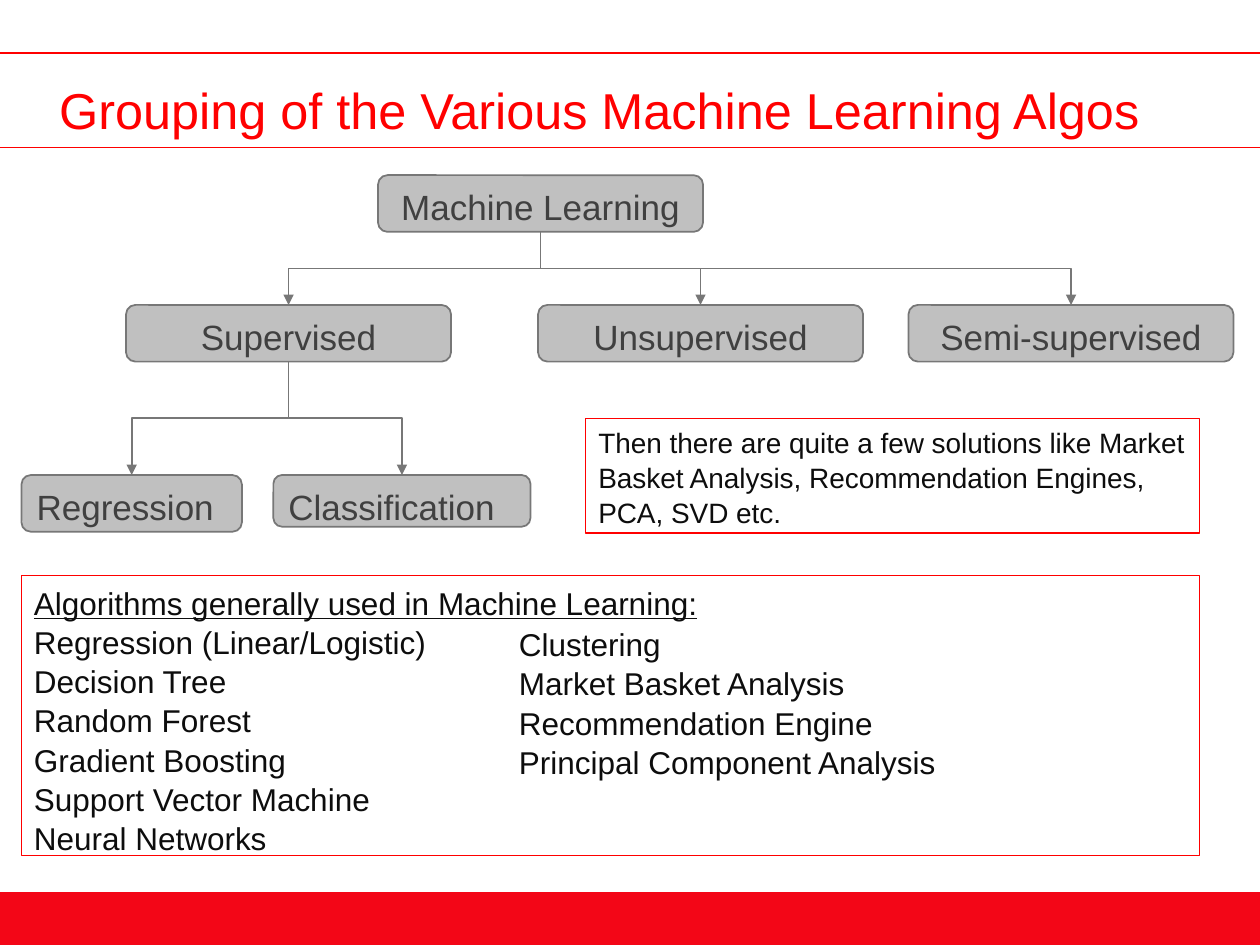
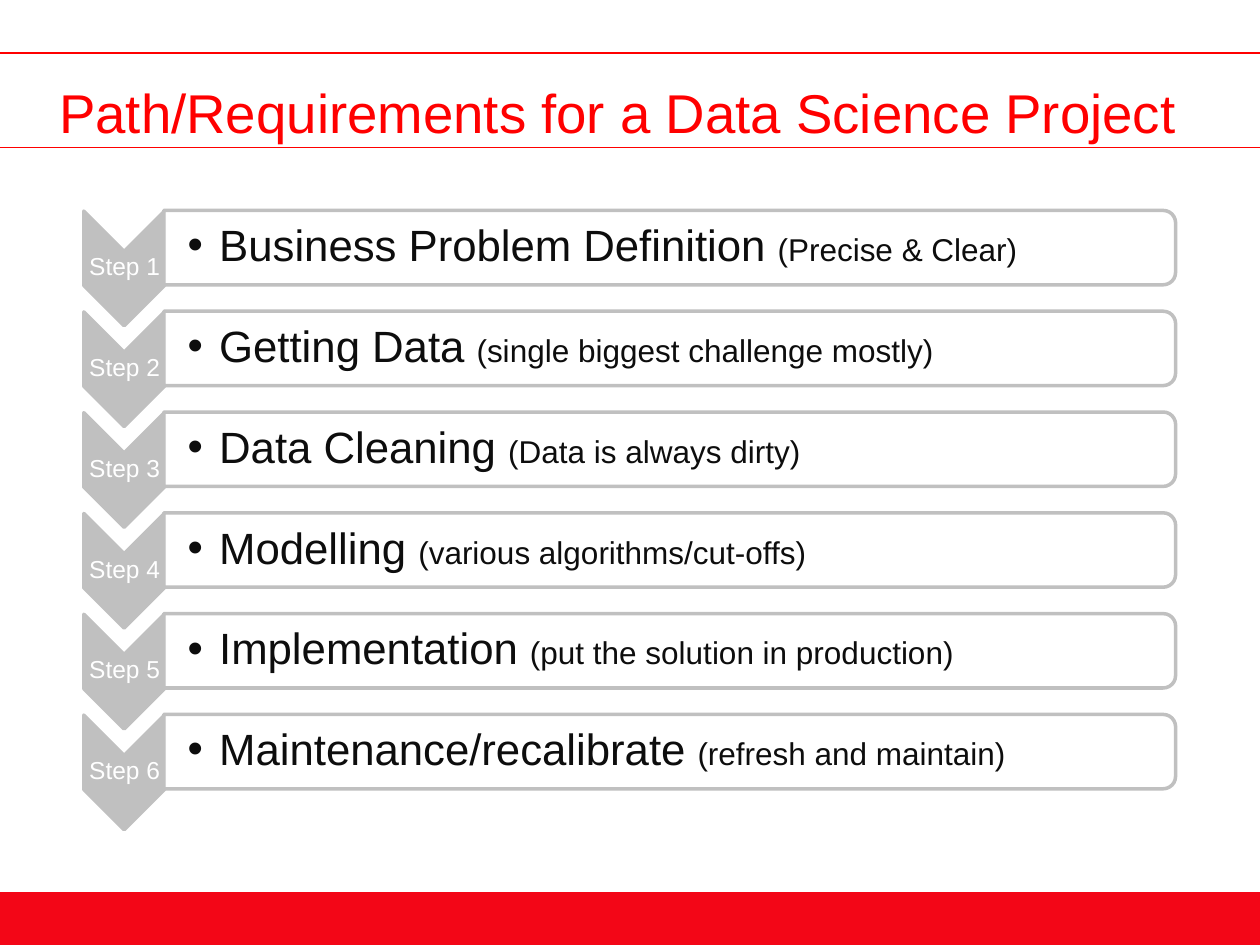
from dataclasses import dataclass
from typing import Any

from pptx import Presentation
from pptx.dml.color import RGBColor
from pptx.enum.shapes import MSO_CONNECTOR, MSO_SHAPE
from pptx.enum.text import MSO_ANCHOR, PP_ALIGN
from pptx.oxml.ns import qn
from pptx.util import Inches, Pt
from lxml import etree

LEFT, CENTER = PP_ALIGN.LEFT, PP_ALIGN.CENTER
TOP, MIDDLE = MSO_ANCHOR.TOP, MSO_ANCHOR.MIDDLE
STRAIGHT, ELBOW = MSO_CONNECTOR.STRAIGHT, MSO_CONNECTOR.ELBOW
RECTANGLE, ROUNDED = MSO_SHAPE.RECTANGLE, MSO_SHAPE.ROUNDED_RECTANGLE
CHEVRON, CARD = MSO_SHAPE.CHEVRON, MSO_SHAPE.ROUND_2_SAME_RECTANGLE
BOTTOM_SITE, TOP_SITE = 2, 0


@dataclass(frozen=True)
class Theme:
    font: str = "Arial"
    red: str = "FF0000"
    footer: str = "F30617"
    silver: str = "C0C0C0"
    outline: str = "777777"
    node_text: str = "404040"
    ink: str = "0D0D0D"
    white: str = "FFFFFF"
    node_size: float = 20
    body_size: float = 18
    note_size: float = 16
    step_size: float = 14
    stage_size: float = 25
    body_spacing: float = 1.04
    step_spacing: float = 0.9


THEME = Theme()


@dataclass(frozen=True)
class Frame:
    left: float
    top: float
    width: float
    height: float

    def lengths(self) -> list[int]:
        return [Inches(side) for side in (self.left, self.top, self.width, self.height)]


@dataclass(frozen=True)
class Span:
    text: str
    size: float
    color: str = THEME.ink
    underline: bool = False


@dataclass(frozen=True)
class Node:
    label: str
    frame: Frame
    align: Any = CENTER
    parent: str = ""


@dataclass(frozen=True)
class Stage:
    name: str
    remark: str


NODES = [
    Node("Machine Learning", Frame(3, 1.39, 2.58, 0.45)),
    Node("Supervised", Frame(1, 2.42, 2.58, 0.45), parent="Machine Learning"),
    Node("Unsupervised", Frame(4.27, 2.42, 2.58, 0.45), parent="Machine Learning"),
    Node("Semi-supervised", Frame(7.21, 2.42, 2.58, 0.45), parent="Machine Learning"),
    Node("Regression", Frame(0.17, 3.77, 1.75, 0.45), LEFT, "Supervised"),
    Node("Classification", Frame(2.17, 3.77, 2.04, 0.41), LEFT, "Supervised"),
]
ALGORITHMS_HEADING = "Algorithms generally used in Machine Learning:"
ALGORITHMS = [
    "Regression (Linear/Logistic)",
    "Decision Tree",
    "Random Forest",
    "Gradient Boosting",
    "Support Vector Machine",
    "Neural Networks",
]
MORE_ALGORITHMS = [
    "Clustering",
    "Market Basket Analysis",
    "Recommendation Engine",
    "Principal Component Analysis",
]
SOLUTIONS_NOTE = (
    "Then there are quite a few solutions like Market Basket Analysis, "
    "Recommendation Engines, PCA, SVD etc."
)
STAGES = [
    Stage("Business Problem Definition", "(Precise & Clear)"),
    Stage("Getting Data", "(single biggest challenge mostly)"),
    Stage("Data Cleaning", "(Data is always dirty)"),
    Stage("Modelling", "(various algorithms/cut-offs)"),
    Stage("Implementation", "(put the solution in production)"),
    Stage("Maintenance/recalibrate", "(refresh and maintain)"),
]
STAGE_PITCH = 0.8


def apply(target: Any, values: dict[str, Any]) -> None:
    for name, value in values.items():
        setattr(target, name, value)


def rgb(color: str) -> RGBColor:
    return RGBColor.from_string(color)


def write(shape: Any, paragraphs: list[list[Span]], align: Any = LEFT, anchor: Any = TOP,
          insets: tuple[float, float, float, float] = (0.1, 0.05, 0.1, 0.05),
          spacing: float = THEME.body_spacing) -> None:
    text_frame = shape.text_frame
    sides = ("margin_left", "margin_top", "margin_right", "margin_bottom")
    apply(text_frame, {"word_wrap": True, "vertical_anchor": anchor}
          | {side: Inches(inset) for side, inset in zip(sides, insets)})
    for index, spans in enumerate(paragraphs):
        para = text_frame.add_paragraph() if index else text_frame.paragraphs[0]
        apply(para, {"alignment": align, "line_spacing": spacing})
        for span in spans:
            run = para.add_run()
            run.text = span.text
            apply(run.font, {"name": THEME.font, "size": Pt(span.size),
                             "underline": span.underline})
            run.font.color.rgb = rgb(span.color)


def add_box(page: Any, preset: Any, frame: Frame, fill: str = "", line: str = "",
            weight: float = 1, rotation: float = 0) -> Any:
    box = page.shapes.add_shape(preset, *frame.lengths())
    box.shadow.inherit = False
    box.rotation = rotation
    if fill:
        box.fill.solid()
        box.fill.fore_color.rgb = rgb(fill)
    else:
        box.fill.background()
    if line:
        box.line.color.rgb = rgb(line)
        box.line.width = Pt(weight)
    else:
        box.line.fill.background()
    return box


def add_text(page: Any, frame: Frame, paragraphs: list[list[Span]], **layout: Any) -> Any:
    box = page.shapes.add_textbox(*frame.lengths())
    write(box, paragraphs, **layout)
    return box


def style_connector(connector: Any, color: str) -> None:
    connector.line.color.rgb = rgb(color)
    connector.line.width = Pt(1)
    etree.SubElement(connector._element.spPr, qn("a:effectLst"))


def add_rule(page: Any, top: float) -> None:
    rule = page.shapes.add_connector(STRAIGHT, 0, Inches(top), Inches(10), Inches(top))
    style_connector(rule, THEME.red)


def add_branch(page: Any, parent: Any, child: Any) -> None:
    start_x, start_y = parent.left + parent.width // 2, parent.top + parent.height
    end_x, end_y = child.left + child.width // 2, child.top
    branch = page.shapes.add_connector(ELBOW, start_x, start_y, end_x, end_y)
    branch.begin_connect(parent, BOTTOM_SITE)
    branch.end_connect(child, TOP_SITE)
    drop, reach = end_y - start_y, abs(end_x - start_x)
    apply(branch, {"left": (start_x + end_x - drop) // 2,
                   "top": (start_y + end_y - reach) // 2,
                   "width": drop, "height": reach})
    transform = branch._element.spPr.find(qn("a:xfrm"))
    goes_right = end_x > start_x
    transform.set("rot", str((270 if goes_right else 90) * 60000))
    transform.set("flipH", "1" if goes_right else "0")
    style_connector(branch, THEME.outline)
    etree.SubElement(branch.line._get_or_add_ln(), qn("a:tailEnd"), type="triangle")


def add_page(deck: Any, title: str, title_size: float) -> Any:
    page = deck.slides.add_slide(deck.slide_layouts[6])
    add_box(page, RECTANGLE, Frame(0, 7.08, 10, 0.42), THEME.footer)
    add_text(page, Frame(0.47, 0.58, 9, 0.5), [[Span(title, title_size, THEME.red)]],
             insets=(0, 0.05, 0.1, 0), spacing=1.0)
    for top in (1.17, 0.42):
        add_rule(page, top)
    return page


def add_bullet(para: Any) -> None:
    properties = para._p.get_or_add_pPr()
    properties.set("marL", str(Inches(0.25)))
    properties.set("indent", str(-Inches(0.25)))
    etree.SubElement(properties, qn("a:buFont"), typeface=THEME.font)
    etree.SubElement(properties, qn("a:buChar"), char="•")


def add_stage(page: Any, number: int, stage: Stage) -> None:
    offset = (number - 1) * STAGE_PITCH
    add_box(page, CHEVRON, Frame(0.53, 1.81 + offset, 0.91, 0.64),
            THEME.silver, THEME.silver, 2, 90)
    add_text(page, Frame(0.67, 1.99 + offset, 0.64, 0.27),
             [[Span(f"Step {number}", THEME.step_size, THEME.white)]],
             align=CENTER, anchor=MIDDLE, insets=(0.01,) * 4, spacing=THEME.step_spacing)
    card = add_box(page, CARD, Frame(5.02, offset - 2.05, 0.59, 8.03),
                   THEME.white, THEME.silver, 2, 90)
    fill_color = card._element.spPr.find(qn("a:solidFill"))[0]
    etree.SubElement(fill_color, qn("a:alpha"), val="90000")
    caption = add_text(page, Frame(1.3, 1.7 + offset, 8, 0.53),
                       [[Span(f"{stage.name} ", THEME.stage_size),
                         Span(stage.remark, THEME.body_size)]],
                       anchor=MIDDLE, insets=(0.19, 0.02, 0.02, 0.02),
                       spacing=THEME.step_spacing)
    add_bullet(caption.text_frame.paragraphs[0])


def build_grouping(deck: Any) -> None:
    page = add_page(deck, "Grouping of the Various Machine Learning Algos", 28.8)
    boxes: dict[str, Any] = {}
    for node in NODES:
        box = add_box(page, ROUNDED, node.frame, THEME.silver, THEME.outline)
        write(box, [[Span(node.label, THEME.node_size, THEME.node_text)]], node.align)
        boxes[node.label] = box
    for node in NODES:
        if node.parent:
            add_branch(page, boxes[node.parent], boxes[node.label])
    algorithms = add_box(page, RECTANGLE, Frame(0.17, 4.57, 9.35, 2.22),
                         line=THEME.red, weight=0.75)
    heading = Span(ALGORITHMS_HEADING, THEME.body_size, underline=True)
    write(algorithms, [[heading]] + [[Span(name, THEME.body_size)] for name in ALGORITHMS])
    add_text(page, Frame(4.02, 4.9, 3.92, 1.31),
             [[Span(name, THEME.body_size)] for name in MORE_ALGORITHMS])
    note = add_box(page, RECTANGLE, Frame(4.65, 3.32, 4.87, 0.91),
                   line=THEME.red, weight=0.75)
    write(note, [[Span(SOLUTIONS_NOTE, THEME.note_size)]])


def build_project_steps(deck: Any) -> None:
    page = add_page(deck, "Path/Requirements for a Data Science Project", 31.2)
    for number, stage in enumerate(STAGES, start=1):
        add_stage(page, number, stage)


def main() -> None:
    deck = Presentation()
    apply(deck, {"slide_width": Inches(10), "slide_height": Inches(7.5)})
    build_grouping(deck)
    build_project_steps(deck)
    deck.save("out.pptx")


if __name__ == "__main__":
    main()
